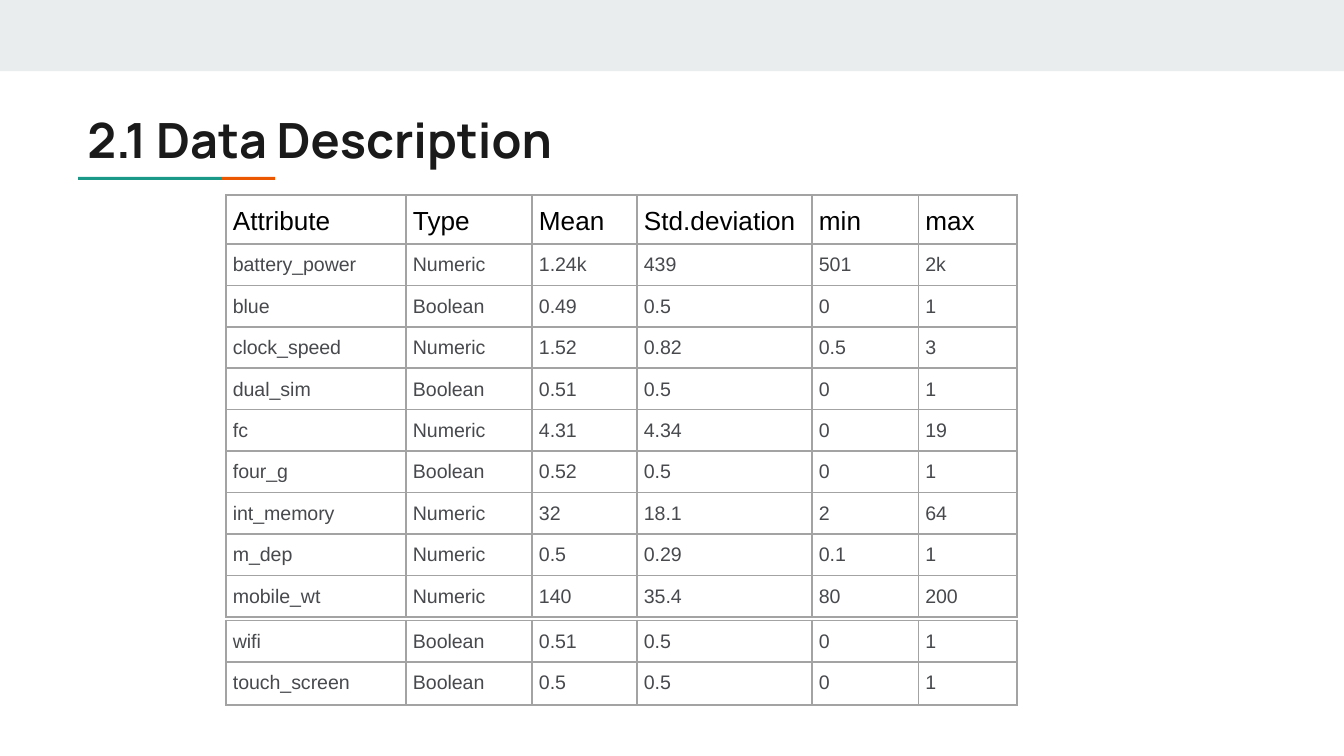
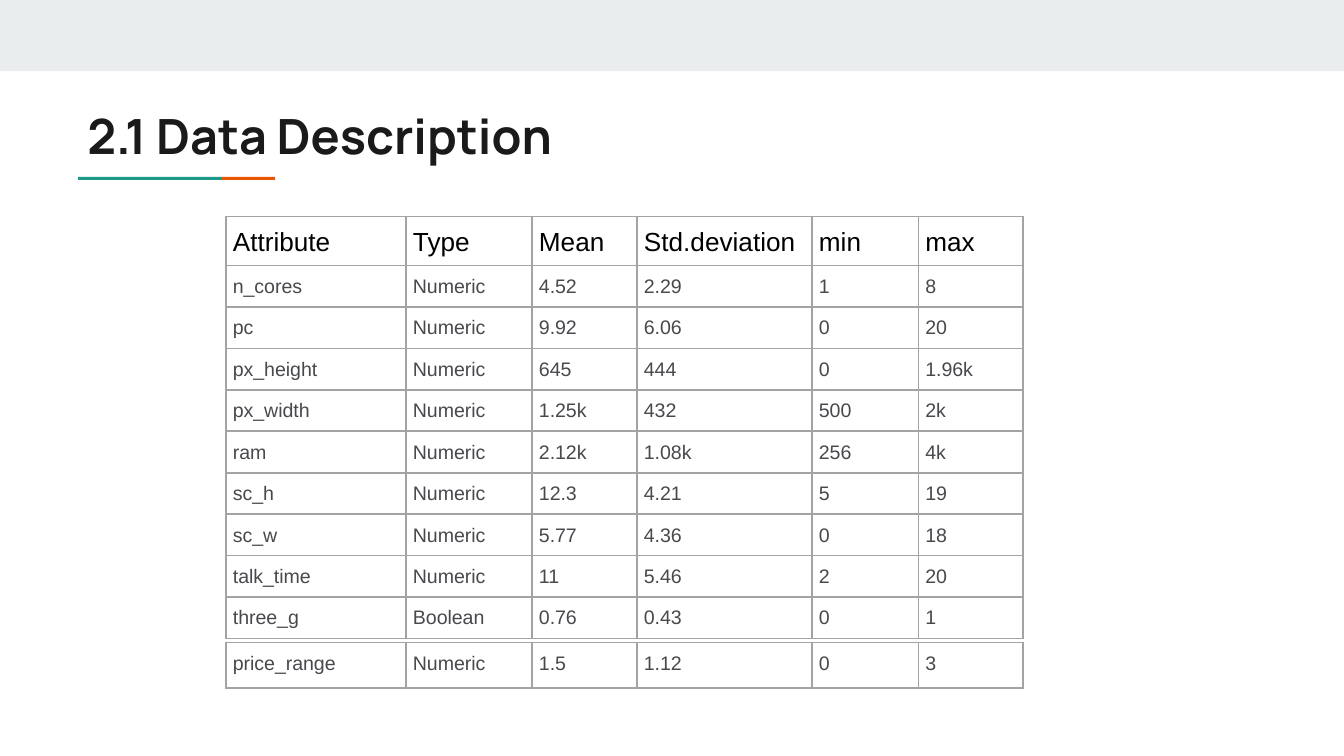
from dataclasses import dataclass

from pptx import Presentation
from pptx.dml.color import RGBColor
from pptx.enum.shapes import MSO_SHAPE
from pptx.enum.text import MSO_ANCHOR, MSO_AUTO_SIZE, PP_ALIGN
from pptx.oxml.ns import qn
from pptx.util import Pt
from lxml.etree import SubElement


@dataclass(frozen=True)
class Theme:
    band: str = "E9EDEE"
    teal: str = "1A9988"
    orange: str = "EB5600"
    title: str = "1A1A1A"
    header: str = "000000"
    body: str = "47494D"
    grid: str = "A3A3A3"
    title_font: str = "Manrope"
    table_font: str = "Arial"
    title_size: float = 26
    header_size: float = 14
    body_size: float = 10.5


THEME = Theme()
SLIDE_WIDTH, SLIDE_HEIGHT = 720, 405
TABLE_LEFT = 121
HEADER_HEIGHT, ROW_HEIGHT = 26.3, 22.2
CELL_INSET = 3.75
LEADING_COLUMNS = [96.5, 67.5, 56.25, 93.75, 57]

HEADER = ["Attribute", "Type", "Mean", "Std.deviation", "min", "max"]

FIRST_ATTRIBUTES = [
    ["battery_power", "Numeric", "1.24k", "439", "501", "2k"],
    ["blue", "Boolean", "0.49", "0.5", "0", "1"],
    ["clock_speed", "Numeric", "1.52", "0.82", "0.5", "3"],
    ["dual_sim", "Boolean", "0.51", "0.5", "0", "1"],
    ["fc", "Numeric", "4.31", "4.34", "0", "19"],
    ["four_g", "Boolean", "0.52", "0.5", "0", "1"],
    ["int_memory", "Numeric", "32", "18.1", "2", "64"],
    ["m_dep", "Numeric", "0.5", "0.29", "0.1", "1"],
    ["mobile_wt", "Numeric", "140", "35.4", "80", "200"],
]
WIFI = ["wifi", "Boolean", "0.51", "0.5", "0", "1"]
TOUCH_SCREEN = ["touch_screen", "Boolean", "0.5", "0.5", "0", "1"]

SECOND_ATTRIBUTES = [
    ["n_cores", "Numeric", "4.52", "2.29", "1", "8"],
    ["pc", "Numeric", "9.92", "6.06", "0", "20"],
    ["px_height", "Numeric", "645", "444", "0", "1.96k"],
    ["px_width", "Numeric", "1.25k", "432", "500", "2k"],
    ["ram", "Numeric", "2.12k", "1.08k", "256", "4k"],
    ["sc_h", "Numeric", "12.3", "4.21", "5", "19"],
    ["sc_w", "Numeric", "5.77", "4.36", "0", "18"],
    ["talk_time", "Numeric", "11", "5.46", "2", "20"],
    ["three_g", "Boolean", "0.76", "0.43", "0", "1"],
]
PRICE_RANGE = ["price_range", "Numeric", "1.5", "1.12", "0", "3"]


def add_run(paragraph, text, font, size, color, bold=False):
    run = paragraph.add_run()
    run.text = text
    run.font.name = font
    run.font.size = Pt(size)
    run.font.bold = bold
    run.font.color.rgb = RGBColor.from_string(color)


def add_bar(slide, left, top, width, height, color):
    bar = slide.shapes.add_shape(
        MSO_SHAPE.RECTANGLE, Pt(left), Pt(top), Pt(width), Pt(height))
    bar.shadow.inherit = False
    bar.fill.solid()
    bar.fill.fore_color.rgb = RGBColor.from_string(color)
    bar.line.fill.background()


def add_accent_line(slide, left, top, width, height):
    """Underline the title in teal, with the last part in orange."""
    teal_width = width * 0.73
    add_bar(slide, left, top, teal_width, height, THEME.teal)
    add_bar(slide, left + teal_width, top, width - teal_width, height, THEME.orange)


def set_title(slide, text, left, top, width, height):
    title = slide.shapes.title
    title.left, title.top = Pt(left), Pt(top)
    title.width, title.height = Pt(width), Pt(height)
    frame = title.text_frame
    frame.auto_size = MSO_AUTO_SIZE.NONE
    frame.word_wrap = True
    frame.vertical_anchor = MSO_ANCHOR.TOP
    frame.margin_left = frame.margin_right = Pt(7.2)
    frame.margin_top = frame.margin_bottom = Pt(7.2)
    paragraph = frame.paragraphs[0]
    paragraph.alignment = PP_ALIGN.LEFT
    add_run(paragraph, text, THEME.title_font, THEME.title_size, THEME.title, bold=True)


def set_borders(cell):
    properties = cell._tc.get_or_add_tcPr()
    for side in ("lnL", "lnR", "lnT", "lnB"):
        border = SubElement(properties, qn(f"a:{side}"), w=str(Pt(1)))
        fill = SubElement(border, qn("a:solidFill"))
        SubElement(fill, qn("a:srgbClr"), val=THEME.grid)


def fill_cell(cell, text, size, color):
    set_borders(cell)
    cell.fill.background()
    cell.margin_left = cell.margin_right = Pt(CELL_INSET)
    cell.margin_top = cell.margin_bottom = Pt(CELL_INSET)
    cell.vertical_anchor = MSO_ANCHOR.TOP
    paragraph = cell.text_frame.paragraphs[0]
    paragraph.line_spacing = 1.15
    add_run(paragraph, text, THEME.table_font, size, color)


def add_attribute_table(slide, left, top, columns, rows, row_height=ROW_HEIGHT):
    heights = [HEADER_HEIGHT if row is HEADER else row_height for row in rows]
    table = slide.shapes.add_table(
        len(rows), len(columns), Pt(left), Pt(top),
        Pt(sum(columns)), Pt(sum(heights))).table
    table.first_row = table.horz_banding = False
    for column, width in zip(table.columns, columns):
        column.width = Pt(width)
    for table_row, height, values in zip(table.rows, heights, rows):
        table_row.height = Pt(height)
        if values is HEADER:
            size, color = THEME.header_size, THEME.header
        else:
            size, color = THEME.body_size, THEME.body
        for cell, value in zip(table_row.cells, values):
            fill_cell(cell, value, size, color)


def add_description_slide(deck, title_top, last_column, tables):
    """Add a slide with tables given as (top, row height, rows)."""
    slide = deck.slides.add_slide(deck.slide_layouts[5])
    add_bar(slide, 0, 0, SLIDE_WIDTH, 38.2, THEME.band)
    add_accent_line(slide, 41.8, 94.8, 105.6, 1.6)
    set_title(slide, "2.1 Data Description", 39.6, title_top, 605.5, 42.5)
    columns = LEADING_COLUMNS + [last_column]
    for top, row_height, rows in tables:
        add_attribute_table(slide, TABLE_LEFT, top, columns, rows, row_height)


def main():
    deck = Presentation()
    deck.slide_width, deck.slide_height = Pt(SLIDE_WIDTH), Pt(SLIDE_HEIGHT)
    add_description_slide(deck, 52, 53, [
        (104.4, ROW_HEIGHT, [HEADER, *FIRST_ATTRIBUTES]),
        (332.4, ROW_HEIGHT, [WIFI]),
        (354.7, 23, [TOUCH_SCREEN]),
    ])
    add_description_slide(deck, 49.4, 56, [
        (116, ROW_HEIGHT, [HEADER, *SECOND_ATTRIBUTES]),
        (344.2, 24.5, [PRICE_RANGE]),
    ])
    deck.save("out.pptx")


if __name__ == "__main__":
    main()
